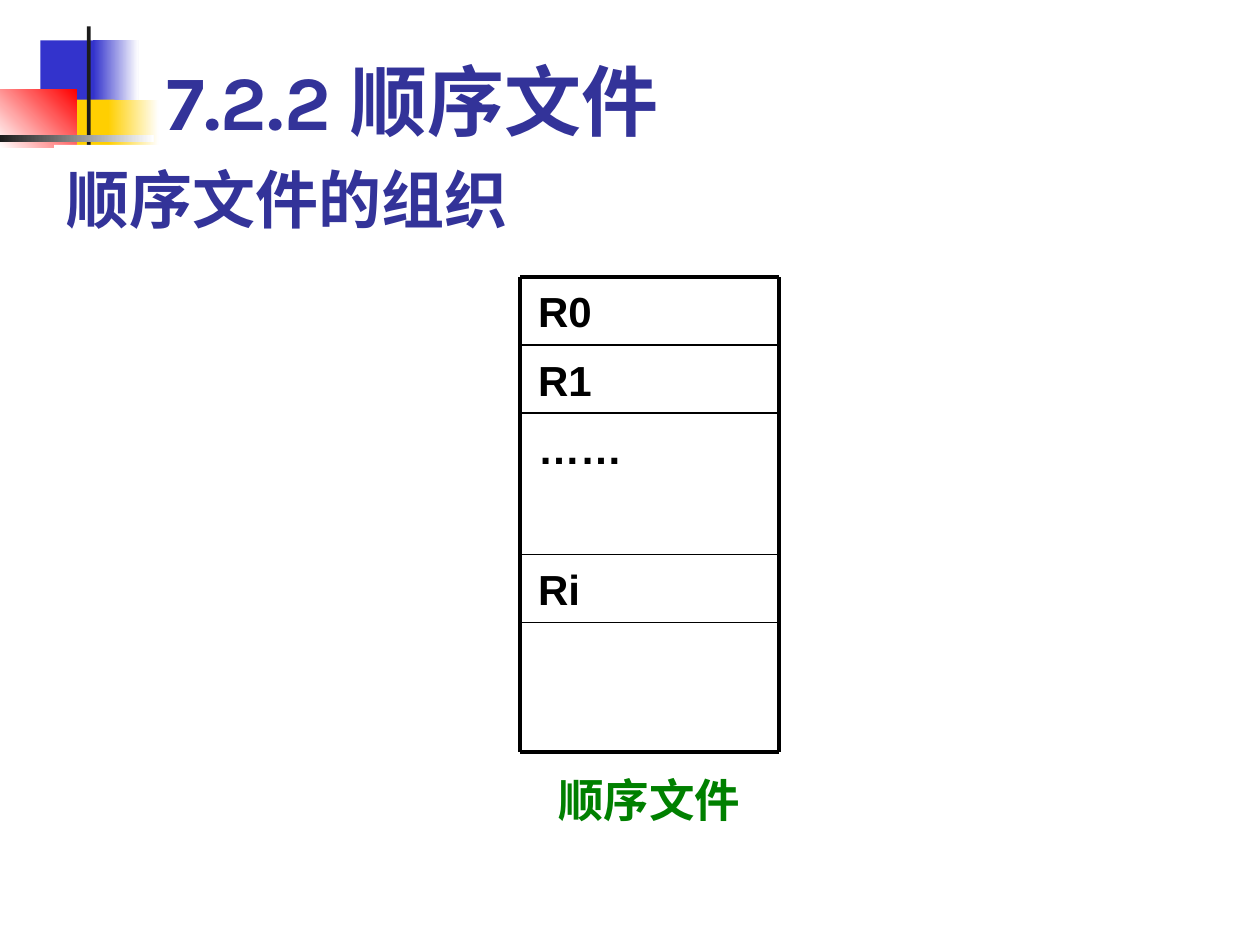
from dataclasses import dataclass
from itertools import accumulate

from lxml import etree
from pptx import Presentation
from pptx import util as u
from pptx.dml.color import RGBColor
from pptx.enum import shapes, text
from pptx.oxml.ns import qn

WHITE, BLACK, CHARCOAL = "FFFFFF", "000000", "1C1C1C"
BLUE, YELLOW, RED = "3333CC", "FFCF01", "FF0000"
HEADING, CAPTION = "333399", "008000"


@dataclass
class Block:
    left: float
    top: float
    width: float
    height: float
    color: str
    fade_to: str = ""
    angle: float = 0


@dataclass
class Label:
    words: str
    left: float
    top: float
    width: float
    height: float
    size: float
    font: str
    color: str
    inset: tuple[float, float] = (0.1, 0.05)
    anchor: text.MSO_ANCHOR = text.MSO_ANCHOR.TOP
    background: str = ""


@dataclass
class Record:
    words: str
    height: float


def rgb(value: str) -> RGBColor:
    return RGBColor.from_string(value)


def draw_block(slide, block: Block) -> None:
    tile = slide.shapes.add_shape(
        shapes.MSO_SHAPE.RECTANGLE, u.Inches(block.left), u.Inches(block.top),
        u.Inches(block.width), u.Inches(block.height))
    tile.shadow.inherit = False
    tile.line.fill.background()
    if block.fade_to:
        tile.fill.gradient()
        tile.fill.gradient_angle = block.angle
        for stop, color in zip(tile.fill.gradient_stops, (block.color, block.fade_to)):
            stop.color.rgb = rgb(color)
    else:
        tile.fill.solid()
        tile.fill.fore_color.rgb = rgb(block.color)


def draw_label(slide, label: Label) -> None:
    box = slide.shapes.add_textbox(
        u.Inches(label.left), u.Inches(label.top),
        u.Inches(label.width), u.Inches(label.height))
    if label.background:
        box.fill.solid()
        box.fill.fore_color.rgb = rgb(label.background)
    frame = box.text_frame
    frame.word_wrap = True
    frame.vertical_anchor = label.anchor
    frame.margin_left = frame.margin_right = u.Inches(label.inset[0])
    frame.margin_top = frame.margin_bottom = u.Inches(label.inset[1])
    frame.text = label.words
    font = frame.paragraphs[0].runs[0].font
    font.name, font.size, font.bold = label.font, u.Pt(label.size), True
    font.color.rgb = rgb(label.color)


def draw_rule(slide, x1: float, y1: float, x2: float, y2: float, weight: float) -> None:
    rule = slide.shapes.add_connector(
        shapes.MSO_CONNECTOR.STRAIGHT, u.Inches(x1), u.Inches(y1),
        u.Inches(x2), u.Inches(y2))
    rule.line.color.rgb = rgb(BLACK)
    rule.line.width = u.Pt(weight)
    etree.SubElement(rule._element.spPr, qn("a:effectLst"))


def draw_file(slide, records: list[Record], left: float, top: float, width: float) -> None:
    right = left + width
    edges = list(accumulate((record.height for record in records), initial=top))
    for record, edge in zip(records, edges):
        if record.words:
            draw_label(slide, Label(record.words, left, edge, width, record.height,
                                    24, "Arial", BLACK, (0.14, 0.07)))
    for edge in edges:
        draw_rule(slide, left, edge, right, edge, 2.25 if edge in (top, edges[-1]) else 1)
    for side in (left, right):
        draw_rule(slide, side, top, side, edges[-1], 2.25)


ORNAMENT = [
    Block(0.32, 0.32, 0.48, 0.52, BLUE),
    Block(0.74, 0.32, 0.36, 0.52, BLUE, WHITE),
    Block(0.45, 0.79, 0.46, 0.52, YELLOW),
    Block(0.86, 0.79, 0.4, 0.52, YELLOW, WHITE),
    Block(0, 0.71, 0.61, 0.46, WHITE, RED, 45),
    Block(0.69, 0.21, 0.03, 1.15, CHARCOAL),
    Block(0, 1.07, 1.22, 0.06, CHARCOAL, WHITE),
]
RECORDS = [
    Record("R0", 0.54),
    Record("R1", 0.54),
    Record("……", 1.12),
    Record("Ri", 0.54),
    Record("", 1.03),
]
LABELS = [
    Label("顺序文件的组织", 0.43, 1.15, 8.52, 0.77, 36, "Karla", HEADING,
          anchor=text.MSO_ANCHOR.BOTTOM, background=WHITE),
    Label("顺序文件", 4.29, 6.06, 2.05, 0.58, 26, "DejaVu Sans", CAPTION, (0.14, 0.07)),
    Label("7.2.2 顺序文件", 1.22, 0.28, 8.52, 0.93, 44, "Karla", HEADING,
          anchor=text.MSO_ANCHOR.BOTTOM),
]


def main() -> None:
    deck = Presentation()
    deck.slide_width, deck.slide_height = u.Inches(10), u.Inches(7.5)
    slide = deck.slides.add_slide(deck.slide_layouts[6])
    for block in ORNAMENT:
        draw_block(slide, block)
    for label in LABELS:
        draw_label(slide, label)
    draw_file(slide, RECORDS, 4.13, 2.2, 2.05)
    deck.save("out.pptx")


if __name__ == "__main__":
    main()
